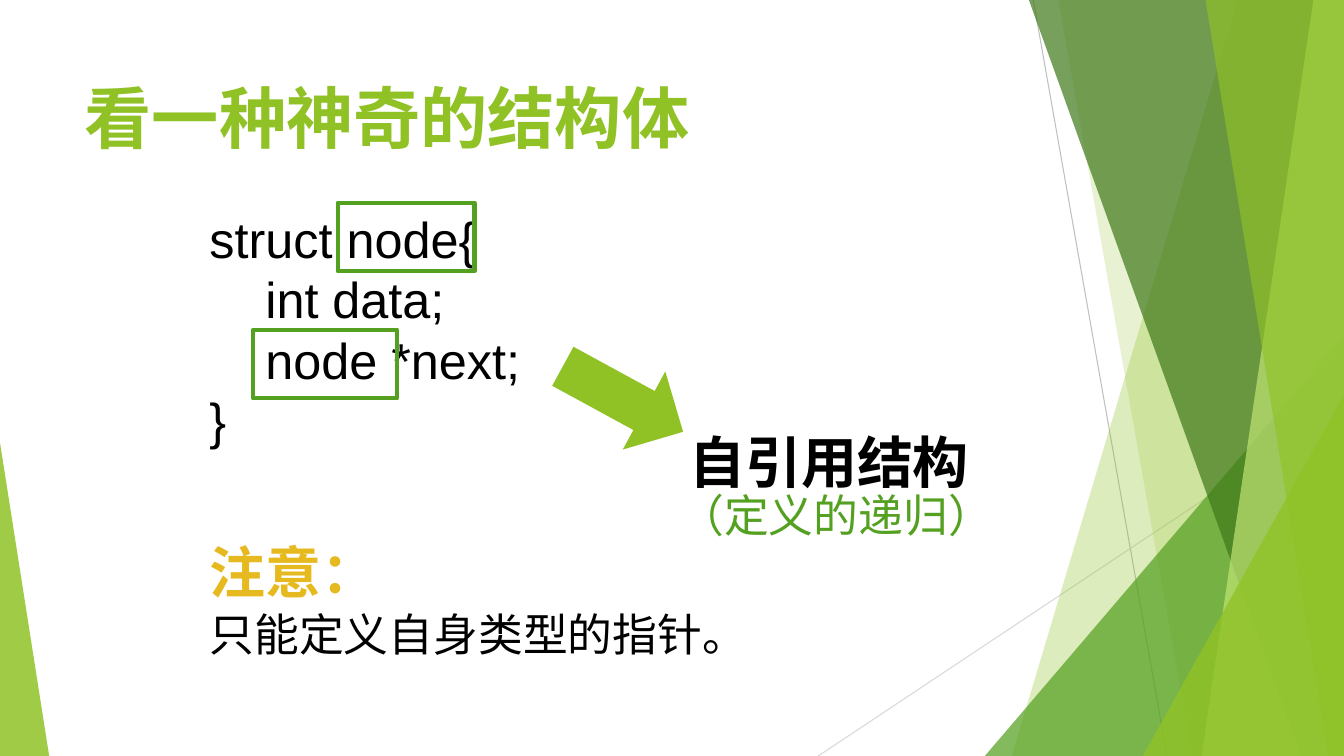
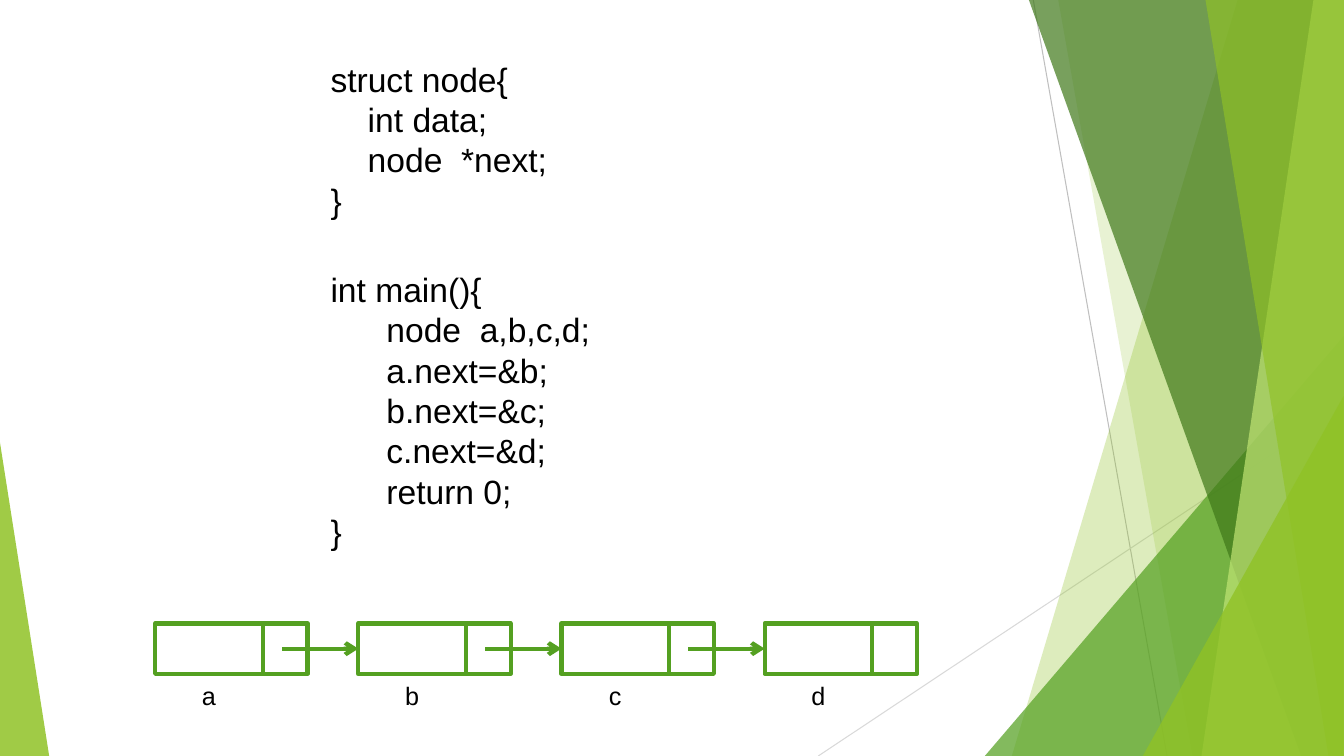
from lxml import etree
from pptx import Presentation
from pptx import util as u
from pptx.dml.color import RGBColor
from pptx.enum import shapes, text
from pptx.oxml.ns import qn

LIME = RGBColor(0x90, 0xC2, 0x26)
GREEN = RGBColor(0x54, 0xA0, 0x21)
FOREST = RGBColor(0x3F, 0x78, 0x19)
PALE = RGBColor(0xC0, 0xE4, 0x74)
GOLD = RGBColor(0xE6, 0xB9, 0x1E)
SILVER = RGBColor(0xBF, 0xBF, 0xBF)
MIST = RGBColor(0xD9, 0xD9, 0xD9)
BLACK = RGBColor(0, 0, 0)

WIDTH, HEIGHT = 33.87, 19.05
CHINESE_FONT = "Noto Sans CJK SC"
CODE_LEADING, CHINESE_LEADING = 1.2, 1.25
TITLE = {"size": 48, "name": "Roboto", "bold": True, "color": LIME}
EMPHASIS = {"size": 40, "name": "Arial", "bold": True, "color": BLACK}
WARNING = {"size": 40, "name": CHINESE_FONT, "bold": True, "color": GOLD}
REMARK = {"size": 32, "name": "Roboto", "bold": False, "color": BLACK}
ASIDE = {**REMARK, "color": GREEN}
CODE_LARGE = {"size": 36, "name": "Arial", "color": BLACK}
CODE_SMALL = {**CODE_LARGE, "size": 24}
LABEL = {**CODE_LARGE, "size": 18}

GUIDES = [
    ((26.04, 0), (29.41, HEIGHT), SILVER),
    ((WIDTH, 10.24), (20.62, HEIGHT), MIST),
]
FACETS = [
    ("band", (31.19, 25.5), LIME, 30),
    ("band", (26.67, 30.05), LIME, 20),
    ("triangle", (24.82, 8.46, 9.05, 10.59, 1), GREEN, 72),
    ("band", (25.93, 32.79), FOREST, 70),
    ("band", (33.1, 30.28), PALE, 70),
    ("band", (30.38, 33.48), LIME, 65),
    ("triangle", (28.8, 9.98, 5.06, 9.07, 1), LIME, 80),
    ("triangle", (0, 11.15, 1.24, 7.9, 0), LIME, 85),
]


def cm(*values):
    """Convert numbers in centimetres to lengths."""
    return [u.Cm(value) for value in values]


def write(frame, lines):
    """Fill a text frame with one formatted paragraph per line."""
    settings = {"word_wrap": True, "vertical_anchor": text.MSO_ANCHOR.TOP}
    for key, value in settings.items():
        setattr(frame, key, value)
    for index, (words, style) in enumerate(lines):
        paragraph = frame.add_paragraph() if index else frame.paragraphs[0]
        leading = CODE_LEADING if words.isascii() else CHINESE_LEADING
        paragraph.line_spacing = u.Pt(style["size"] * leading)
        paragraph.alignment = text.PP_ALIGN.LEFT
        run = paragraph.add_run()
        run.text = words
        for key, value in style.items():
            if key == "color":
                run.font.color.rgb = value
            else:
                setattr(run.font, key, u.Pt(value) if key == "size" else value)
        east_asian = etree.SubElement(run.font._element, qn("a:ea"))
        east_asian.set("typeface", CHINESE_FONT)


def add_text(slide, box, lines):
    """Add a text box that grows with its lines."""
    frame = slide.shapes.add_textbox(*cm(*box)).text_frame
    write(frame, lines)
    frame.auto_size = text.MSO_AUTO_SIZE.SHAPE_TO_FIT_TEXT
    return frame


def add_code(slide, box, code, style):
    """Add a listing with one paragraph per line of code."""
    return add_text(slide, box, [(line, style) for line in code.split("\n")])


def add_line(slide, start, end, color, width):
    """Add a straight line without a shadow."""
    line = slide.shapes.add_connector(
        shapes.MSO_CONNECTOR.STRAIGHT, *cm(*start, *end))
    line.line.color.rgb = color
    line.line.width = u.Pt(width)
    etree.SubElement(line._element.spPr, qn("a:effectLst"))
    return line


def add_frame(slide, box):
    """Add an unfilled rectangle with a green outline."""
    frame = slide.shapes.add_shape(shapes.MSO_SHAPE.RECTANGLE, *cm(*box))
    frame.shadow.inherit = False
    frame.fill.background()
    frame.line.color.rgb = GREEN
    frame.line.width = u.Pt(3)
    return frame


def paint(shape, color, opacity=100):
    """Fill a shape, leaving it without outline or shadow."""
    shape.shadow.inherit = False
    shape.fill.solid()
    shape.fill.fore_color.rgb = color
    shape.line.fill.background()
    if opacity < 100:
        tint = shape._element.spPr.find(qn("a:solidFill"))[0]
        etree.SubElement(tint, qn("a:alpha")).set("val", str(opacity * 1000))


def add_facet(slide, kind, place, color, opacity):
    """Add a band reaching the right edge, or a right triangle."""
    if kind == "band":
        top, bottom = place
        builder = slide.shapes.build_freeform(*cm(top, 0), scale=1.0)
        corners = [(WIDTH, 0), (WIDTH, HEIGHT), (bottom, HEIGHT)]
        builder.add_line_segments([cm(*corner) for corner in corners])
        facet = builder.convert_to_shape()
    else:
        *box, apex = place
        facet = slide.shapes.add_shape(
            shapes.MSO_SHAPE.ISOSCELES_TRIANGLE, *cm(*box))
        facet.adjustments[0] = apex
    paint(facet, color, opacity)
    return facet


def decorate_master(master, slide):
    """Draw the facets on a slide and hand them to the master."""
    parts = [add_line(slide, *guide, 0.75) for guide in GUIDES]
    parts += [add_facet(slide, *facet) for facet in FACETS]
    for index, part in enumerate(parts):
        part._element.xpath(".//p:cNvPr")[0].set("id", str(100 + index))
        master.shapes.element.insert(2 + index, part._element)


def add_definition(slide, left, top):
    """Show the struct with its two matching names framed."""
    add_code(slide, (left, top, 12.7, 6.4),
             "struct node{\n    int data;\n    node *next;\n}", CODE_LARGE)
    add_frame(slide, (left + 1.35, top + 3.2, 3.63, 1.73))
    add_frame(slide, (left + 3.48, top, 3.45, 1.73))


def add_conclusion(slide, left, top):
    """Point an arrow at the name of the structure."""
    arrow = slide.shapes.add_shape(
        shapes.MSO_SHAPE.DOWN_ARROW, *cm(left, top, 2.24, 3.45))
    arrow.rotation = 298.6
    paint(arrow, LIME)
    add_text(slide, (left + 2.54, top + 2.26, 8, 1.96),
             [("自引用结构", EMPHASIS)])
    aside = add_text(slide, (left + 2.29, top + 3.79, 8.48, 1.63),
                     [("（定义的递归）", ASIDE)])
    aside.word_wrap = False


def add_node(slide, name, left, top):
    """Add a list node with its data cell, pointer cell and label."""
    data_width, height = 2.71, 1.27
    node = add_frame(slide, (left, top, 3.84, height))
    divider = left + data_width
    add_line(slide, (divider, top), (divider, top + height), GREEN, 3)
    label = add_text(slide, (left, top + 1.31, data_width, 1.02),
                     [(name, LABEL)])
    label.paragraphs[0].alignment = text.PP_ALIGN.CENTER
    return node


def add_linked_list(slide, names, left, top):
    """Chain equally spaced nodes with arrows."""
    pitch, pointer, middle = 5.12, 3.2, top + 0.635
    nodes = [add_node(slide, name, left + pitch * index, top)
             for index, name in enumerate(names)]
    for index, target in enumerate(nodes[1:]):
        start = left + pitch * index
        link = add_line(slide, (start + pointer, middle),
                        (start + pitch, middle), GREEN, 3)
        link.end_connect(target, 1)
        etree.SubElement(link.line._get_or_add_ln(),
                         qn("a:tailEnd")).set("type", "arrow")


def build_structure_slide(slide):
    """Present the self-referencing structure."""
    title = slide.shapes.title
    title_box = dict(zip(("left", "top", "width", "height"),
                         cm(1.88, 1.7, 23.88, 3.66)))
    for key, value in title_box.items():
        setattr(title, key, value)
    write(title.text_frame, [("看一种神奇的结构体", TITLE)])
    title.text_frame.auto_size = text.MSO_AUTO_SIZE.NONE
    add_definition(slide, 5.03, 5.11)
    add_conclusion(slide, 14.58, 8.33)
    add_text(slide, (5.03, 13.34, 14.81, 3.33),
             [("注意：", WARNING), ("只能定义自身类型的指针。", REMARK)])


def build_list_slide(slide):
    """Show the linking program above the list that it builds."""
    add_code(slide, (8.08, 1.35, 8.94, 4.37),
             "struct node{\n    int data;\n    node  *next;\n}", CODE_SMALL)
    add_code(slide, (8.08, 6.65, 10.9, 7.44),
             "int main(){\n      node  a,b,c,d;\n      a.next=&b;\n"
             "      b.next=&c;\n      c.next=&d;\n      return 0;\n}",
             CODE_SMALL)
    add_linked_list(slide, "abcd", 3.91, 15.71)


def main():
    """Build and save the presentation."""
    deck = Presentation()
    deck.slide_width, deck.slide_height = cm(WIDTH, HEIGHT)
    title_only, blank = deck.slide_layouts[5], deck.slide_layouts[6]
    structure = deck.slides.add_slide(title_only)
    decorate_master(deck.slide_master, structure)
    build_structure_slide(structure)
    build_list_slide(deck.slides.add_slide(blank))
    deck.save("out.pptx")


if __name__ == "__main__":
    main()
